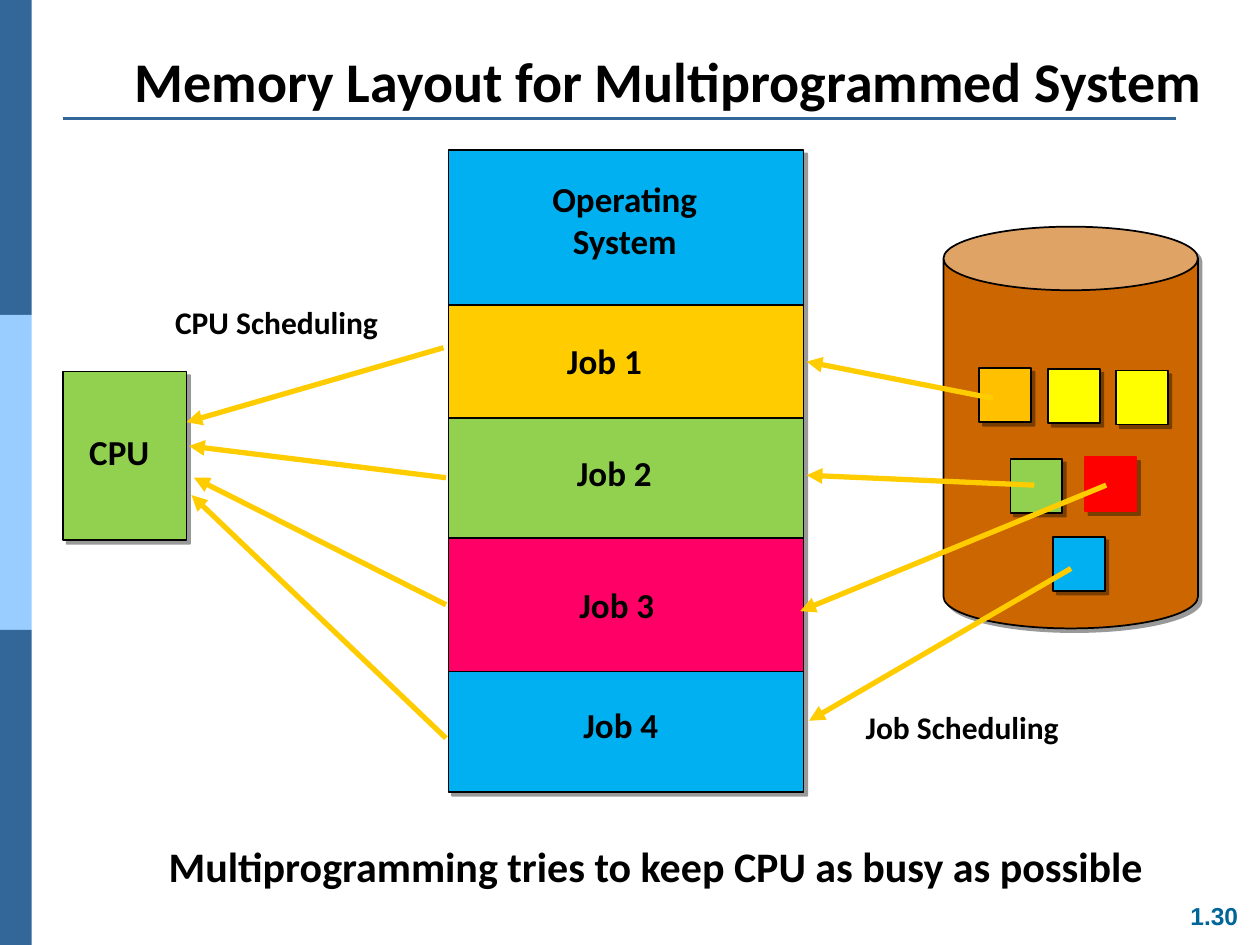
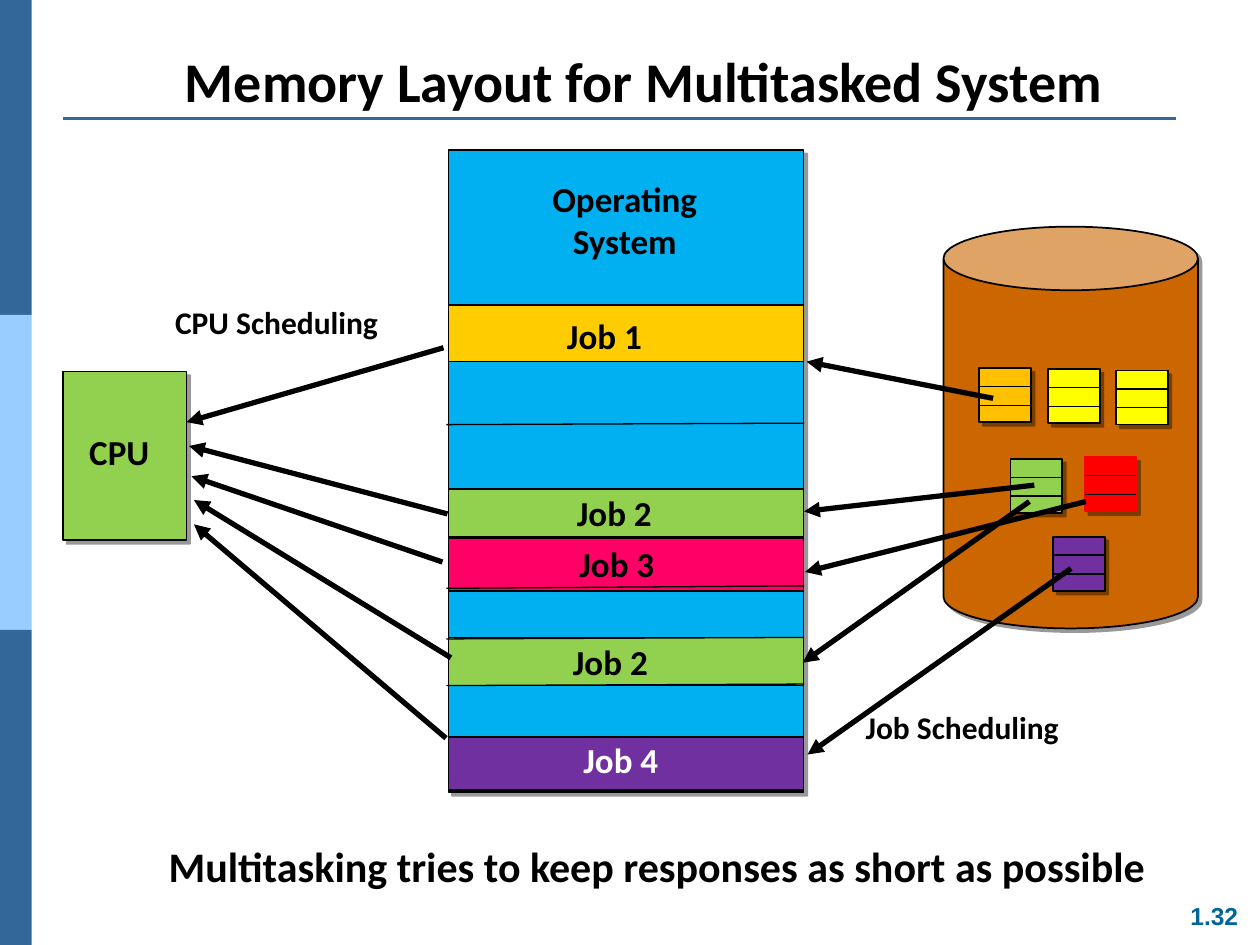
from dataclasses import dataclass

import pptx
import pptx.dml.color
import pptx.enum.shapes
import pptx.enum.text
import pptx.oxml
import pptx.util
from pptx.util import Cm

KIND = pptx.enum.shapes.MSO_SHAPE
ALIGN = pptx.enum.text.PP_ALIGN
ANCHOR = pptx.enum.text.MSO_ANCHOR
SPACE = 'xmlns:a="http://schemas.openxmlformats.org/drawingml/2006/main"'


@dataclass(frozen=True)
class Theme:
    font: str = "Calibri"
    foot_font: str = "Arial"
    navy: str = "336699"
    pale: str = "99CCFF"
    teal: str = "006699"
    black: str = "000000"
    white: str = "FFFFFF"
    sky: str = "00B0F0"
    gold: str = "FFCC00"
    amber: str = "FFC000"
    yellow: str = "FFFF00"
    green: str = "92D050"
    pink: str = "FF0066"
    red: str = "FF0000"
    purple: str = "7030A0"
    brown: str = "CC6600"
    title: int = 32
    note: int = 24
    label: int = 20
    small: int = 18
    foot: int = 14


T = Theme()
COL_X, COL_W = 9.04, 7.16
PAGE_W, PAGE_H = 1.04, 1.09
PAGES = [(19.74, 7.42, T.amber), (21.13, 7.44, T.yellow), (22.5, 7.47, T.yellow),
         (20.37, 9.25, T.green), (21.87, 9.22, T.red)]
LAST_PAGE = (21.23, 10.82)
SHARED_ARROWS = [(8.94, 7.01, 3.76, 8.51), (20.02, 8.03, 16.26, 7.29)]


def rgb(code):
    return pptx.dml.color.RGBColor.from_string(code)


def add_box(slide, at, fill, edge=None, shade=False, kind=KIND.RECTANGLE):
    box = slide.shapes.add_shape(kind, *map(Cm, at))
    box.fill.solid()
    box.fill.fore_color.rgb = rgb(fill)
    if edge:
        box.line.color.rgb = rgb(edge)
        box.line.width = pptx.util.Pt(1)
    else:
        box.line.fill.background()
    box.shadow.inherit = False
    if shade:
        box._element.spPr.find("{*}effectLst").append(pptx.oxml.parse_xml(
            f'<a:outerShdw {SPACE} dist="38100" dir="2700000" algn="tl" rotWithShape="0">'
            f'<a:srgbClr val="{T.black}"><a:alpha val="40000"/></a:srgbClr></a:outerShdw>'))
    return box


def add_text(slide, at, lines, size, color=T.black, font=T.font, align=ALIGN.LEFT,
             wrap=False):
    frame = slide.shapes.add_textbox(*map(Cm, at)).text_frame
    frame.word_wrap = wrap
    for i, line in enumerate(lines):
        para = frame.paragraphs[0] if i == 0 else frame.add_paragraph()
        para.alignment = align
        run = para.add_run()
        run.text = line
        run.font.name = font
        run.font.size = pptx.util.Pt(size)
        run.font.bold = True
        run.font.color.rgb = rgb(color)
    return frame


def add_line(slide, ends, color=T.black, width=0.75, arrow=False):
    line = slide.shapes.add_connector(
        pptx.enum.shapes.MSO_CONNECTOR.STRAIGHT, *map(Cm, ends))
    line.line.color.rgb = rgb(color)
    line.line.width = pptx.util.Pt(width)
    if arrow:
        line.line._get_or_add_ln().append(
            pptx.oxml.parse_xml(f'<a:tailEnd {SPACE} type="triangle"/>'))
    line._element.spPr.append(pptx.oxml.parse_xml(f"<a:effectLst {SPACE}/>"))


def add_frame(deck, title, width, note, number):
    """Add a slide with its side bands, title, closing note and number."""
    slide = deck.slides.add_slide(deck.slide_layouts[6])
    for i, fill in enumerate((T.navy, T.pale, T.navy)):
        add_box(slide, (0, 6.35 * i, 0.64, 6.35), fill)
    add_line(slide, (1.27, 2.39, 23.7, 2.39), T.navy, 1.5)
    add_text(slide, (22.83, 18.03, 3.3, 0.86), [number], T.foot, T.teal,
             T.foot_font, ALIGN.CENTER)
    head = add_text(slide, (1.55, 0.76, width, 1.6), [title], T.title,
                    align=ALIGN.CENTER, wrap=True)
    head.vertical_anchor = ANCHOR.BOTTOM
    head.margin_bottom = Cm(0.06)
    foot = add_text(slide, (1.88, 16.94, 22.38, 2.08), [note], T.note, wrap=True)
    foot.margin_left = Cm(1.52)
    foot.paragraphs[0].line_spacing = 0.9
    return slide


def add_memory(slide, blocks, cuts=()):
    """Draw the memory column: blocks are (top, height, fill), cuts are y pairs."""
    add_box(slide, (COL_X, 3.02, COL_W, 12.95), T.sky, T.black, True)
    for top, height, fill in blocks:
        add_box(slide, (COL_X, top, COL_W, height), fill, T.black)
    for start, end in cuts:
        add_line(slide, (9, start, 16.21, end))
    add_text(slide, (10.54, 3.45, 4.11, 1.96), ["Operating", "System"], T.label,
             align=ALIGN.CENTER)


def add_jobs(slide, jobs):
    for name, left, top, color in jobs:
        add_text(slide, (left, top, 2.21, 1.12), [name], T.label, color)


def add_disk(slide, last, split=False):
    """Draw the disk and its pages; split rules each page into three."""
    can = add_box(slide, (19.02, 4.57, 5.13, 8.1), T.brown, T.black, True, KIND.CAN)
    can.adjustments[0] = 0.25
    for x, y, fill in PAGES + [(*LAST_PAGE, last)]:
        edge = T.red if fill == T.red else T.black
        add_box(slide, (x, y, PAGE_W, PAGE_H), fill, edge, True)
        for drop in (0.37, 0.75) if split else ():
            add_line(slide, (x, y + drop, x + PAGE_W, y + drop))


def add_cpu(slide):
    add_box(slide, (1.27, 7.49, 2.49, 3.4), T.green, T.black, True)
    add_text(slide, (1.55, 8.56, 1.93, 1.12), ["CPU"], T.label)


def add_flow(slide, arrows, color):
    for ends in SHARED_ARROWS + arrows:
        add_line(slide, ends, color, 3, True)
    add_text(slide, (17.2, 14.15, 5.16, 1.02), ["Job Scheduling"], T.small)
    add_text(slide, (3.28, 5.99, 5.44, 1.02), ["CPU Scheduling"], T.small)


def add_batch(deck):
    slide = add_frame(deck, "Memory Layout for Multiprogrammed System", 23.85,
                      "Multiprogramming tries to keep CPU as busy as possible", "1.30")
    add_memory(slide, [(6.15, 2.29, T.gold), (8.43, 2.41, T.green),
                       (10.85, 2.69, T.pink)])
    add_jobs(slide, [("Job 1", 11.18, 6.71, T.black), ("Job 2", 11.38, 8.97, T.black),
                     ("Job 3", 11.43, 11.63, T.black), ("Job 4", 11.51, 14.05, T.black)])
    add_disk(slide, T.sky)
    add_cpu(slide)
    add_flow(slide, [(8.99, 9.63, 3.81, 8.99), (8.99, 12.19, 3.91, 9.63),
                     (8.99, 14.88, 3.86, 9.98), (20.85, 9.78, 16.26, 9.58),
                     (22.3, 9.78, 16.13, 12.32), (21.59, 11.46, 16.31, 14.53)], T.gold)


def add_tasks(deck):
    slide = add_frame(deck, "Memory Layout for Multitasked System", 22.86,
                      "Multitasking tries to keep responses as short as possible", "1.32")
    add_memory(slide, [(6.15, 1.14, T.gold), (9.86, 0.97, T.green), (10.85, 1.07, T.pink),
                       (12.85, 0.97, T.green), (14.86, 1.07, T.purple)],
               [(8.56, 8.53), (11.86, 11.81), (12.88, 12.85), (13.82, 13.79)])
    add_jobs(slide, [("Job 1", 11.18, 6.22, T.black), ("Job 2", 11.38, 9.78, T.black),
                     ("Job 3", 11.43, 10.82, T.black), ("Job 2", 11.3, 12.78, T.black),
                     ("Job 4", 11.51, 14.76, T.white)])
    add_disk(slide, T.purple, True)
    add_cpu(slide)
    add_flow(slide, [(9.02, 10.36, 3.81, 8.99), (8.92, 11.33, 3.86, 9.6),
                     (8.99, 14.88, 3.91, 10.57), (20.85, 9.78, 16.21, 10.31),
                     (21.89, 10.11, 16.23, 11.53), (21.59, 11.46, 16.28, 15.21),
                     (20.75, 10.11, 16.18, 13.36), (9.09, 13.26, 3.91, 10.08)], T.black)


def main():
    deck = pptx.Presentation()
    deck.slide_width, deck.slide_height = Cm(25.4), Cm(19.05)
    add_batch(deck)
    add_tasks(deck)
    deck.save("out.pptx")


if __name__ == "__main__":
    main()
